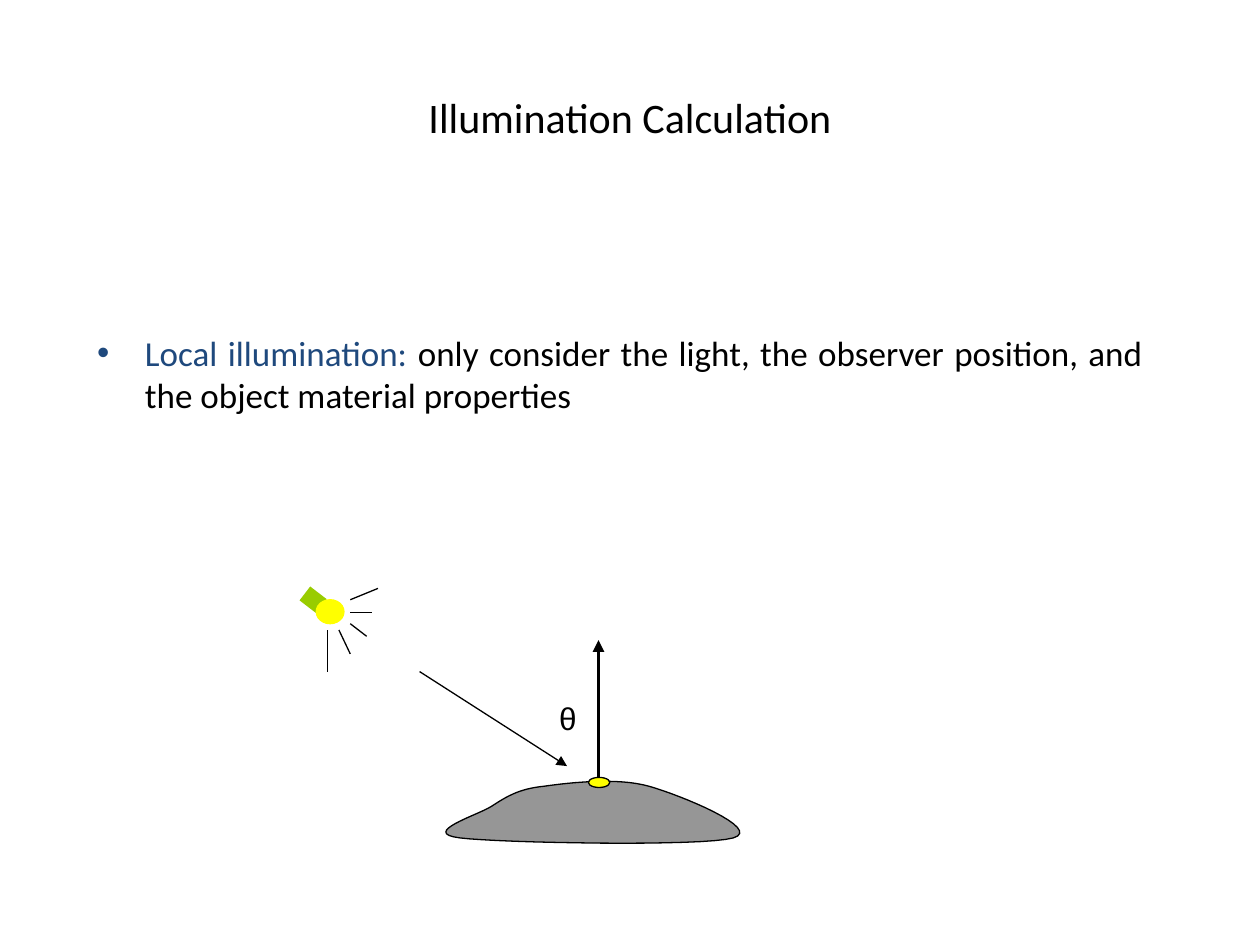
from dataclasses import dataclass

from lxml.etree import SubElement
from pptx import Presentation
from pptx.dml.color import RGBColor
from pptx.enum.shapes import MSO_CONNECTOR, MSO_SHAPE
from pptx.enum.text import MSO_ANCHOR, MSO_AUTO_SIZE, PP_ALIGN
from pptx.oxml.ns import qn
from pptx.util import Inches, Pt


@dataclass(frozen=True)
class Theme:
    """Hold the fonts, type sizes, colours and line widths."""
    font: str = "Calibri"
    sign: str = "Arial"
    head: int = 24
    body: int = 20
    mark: int = 18
    ink: str = "000000"
    blue: str = "1F497D"
    stone: str = "969696"
    green: str = "99CC00"
    glow: str = "FFFF00"
    thin: float = 0.75
    bold: float = 2.25
    wide: float = 10


THEME = Theme()


def tint(code):
    """Turn a hex code into a colour."""
    return RGBColor.from_string(code)


def place(shape, box):
    """Move a shape to a box given in inches."""
    shape.left, shape.top, shape.width, shape.height = map(Inches, box)


def write(para, text, size, color, font=THEME.font):
    """Add one run of text."""
    run = para.add_run()
    run.text = text
    run.font.name = font
    run.font.size = Pt(size)
    run.font.color.rgb = tint(color)


def paint(shape, fill, edge):
    """Give a shape its fill and outline."""
    shape.shadow.inherit = False
    shape.fill.solid()
    shape.fill.fore_color.rgb = tint(fill)
    shape.line.color.rgb = tint(edge)
    shape.line.width = Pt(THEME.thin)


def stroke(group, start, end, color=THEME.ink, width=THEME.thin, arrow=False):
    """Draw a line, with an arrowhead at its end if asked."""
    line = group.shapes.add_connector(
        MSO_CONNECTOR.STRAIGHT, *map(Inches, (*start, *end)))
    line.line.color.rgb = tint(color)
    line.line.width = Pt(width)
    if arrow:
        SubElement(line.line._get_or_add_ln(), qn("a:tailEnd"), type="triangle")
    SubElement(line._element.spPr, qn("a:effectLst"))


def oval(group, box, fill, edge):
    """Draw a filled ellipse."""
    shape = group.shapes.add_shape(MSO_SHAPE.OVAL, *map(Inches, box))
    paint(shape, fill, edge)


def curve(start, bends, steps=16):
    """List points along a chain of cubic curves."""
    points = [start]
    for one, two, end in bends:
        first = points[-1]
        for step in range(1, steps + 1):
            t = step / steps
            u = 1 - t
            points.append(tuple(
                u**3 * a + 3 * u * u * t * b + 3 * u * t * t * c + t**3 * d
                for a, b, c, d in zip(first, one, two, end)))
    return points


def title(slide, box):
    """Fill the title."""
    shape = slide.shapes.title
    place(shape, box)
    frame = shape.text_frame
    frame.auto_size = MSO_AUTO_SIZE.NONE
    frame.vertical_anchor = MSO_ANCHOR.MIDDLE
    para = frame.paragraphs[0]
    para.alignment = PP_ALIGN.CENTER
    write(para, "Illumination Calculation", THEME.head, THEME.ink)


def body(slide, box):
    """Fill the bullet list."""
    shape = slide.placeholders[1]
    place(shape, box)
    frame = shape.text_frame
    frame.auto_size = MSO_AUTO_SIZE.NONE
    para = frame.paragraphs[0]
    props = para._p.get_or_add_pPr()
    props.set("marL", str(Inches(0.38)))
    props.set("indent", str(-Inches(0.38)))
    shade = SubElement(props, qn("a:buClr"))
    SubElement(shade, qn("a:srgbClr"), val=THEME.blue)
    SubElement(props, qn("a:buFont"), typeface="Arial")
    SubElement(props, qn("a:buChar"), char="•")
    para.alignment = PP_ALIGN.JUSTIFY
    para.space_before = Pt(0)
    write(para, "Local illumination:", THEME.body, THEME.blue)
    write(para, " only consider the light, the observer position, and "
          "the object material properties", THEME.body, THEME.ink)


def hill(group, left, top):
    """Draw the lit surface."""
    bends = [
        ((0, 0.44), (0.46, 0.3), (0.57, 0.23)),
        ((0.68, 0.16), (0.78, 0.09), (0.99, 0.07)),
        ((1.2, 0.04), (1.57, 0), (1.82, 0.07)),
        ((2.07, 0.14), (2.73, 0.41), (2.49, 0.48)),
        ((2.25, 0.55), (0.64, 0.52), (0.32, 0.48)),
    ]
    first, *rest = [(round(Inches(left + x)), round(Inches(top + y)))
                    for x, y in curve((0.32, 0.48), bends)]
    build = group.shapes.build_freeform(*first)
    build.add_line_segments(rest, close=True)
    paint(build.convert_to_shape(), THEME.stone, THEME.ink)


def lamp(group, left, top):
    """Draw the lamp and its rays."""
    stroke(group, (left + 0.13, top + 0.14), (left, top + 0.04),
           THEME.green, THEME.wide)
    oval(group, (left + 0.09, top + 0.09, 0.22, 0.19), THEME.glow, THEME.glow)
    rays = [
        (0.36, 0.09, 0.58, 0),
        (0.36, 0.19, 0.53, 0.19),
        (0.36, 0.28, 0.49, 0.38),
        (0.27, 0.33, 0.36, 0.52),
        (0.18, 0.33, 0.18, 0.66),
    ]
    for x, y, far, low in rays:
        stroke(group, (left + x, top + y), (left + far, top + low))


def theta(group, box):
    """Write the angle sign."""
    frame = group.shapes.add_textbox(*map(Inches, box)).text_frame
    frame.word_wrap = False
    frame.auto_size = MSO_AUTO_SIZE.SHAPE_TO_FIT_TEXT
    write(frame.paragraphs[0], "θ", THEME.mark, THEME.ink, THEME.sign)


def scene(slide, left, top):
    """Draw the lamp lighting a point on the surface."""
    group = slide.shapes.add_group_shape()
    hill(group, left + 0.91, top + 1.5)
    stroke(group, (left + 2.33, top + 1.5), (left + 2.33, top + 0.41),
           width=THEME.bold, arrow=True)
    lamp(group, left, top)
    stroke(group, (left + 0.91, top + 0.66), (left + 2.08, top + 1.41),
           arrow=True)
    theta(group, (left + 1.92, top + 0.83, 0.33, 0.4))
    oval(group, (left + 2.25, top + 1.5, 0.17, 0.08), THEME.glow, THEME.ink)


def main():
    """Build the slide and save it."""
    deck = Presentation()
    deck.slide_width, deck.slide_height = Inches(10), Inches(7.5)
    slide = deck.slides.add_slide(deck.slide_layouts[1])
    title(slide, (0.5, 0.3, 9, 1.25))
    body(slide, (0.67, 2.58, 8.5, 4.5))
    scene(slide, 2.42, 4.67)
    deck.save("out.pptx")


if __name__ == "__main__":
    main()
